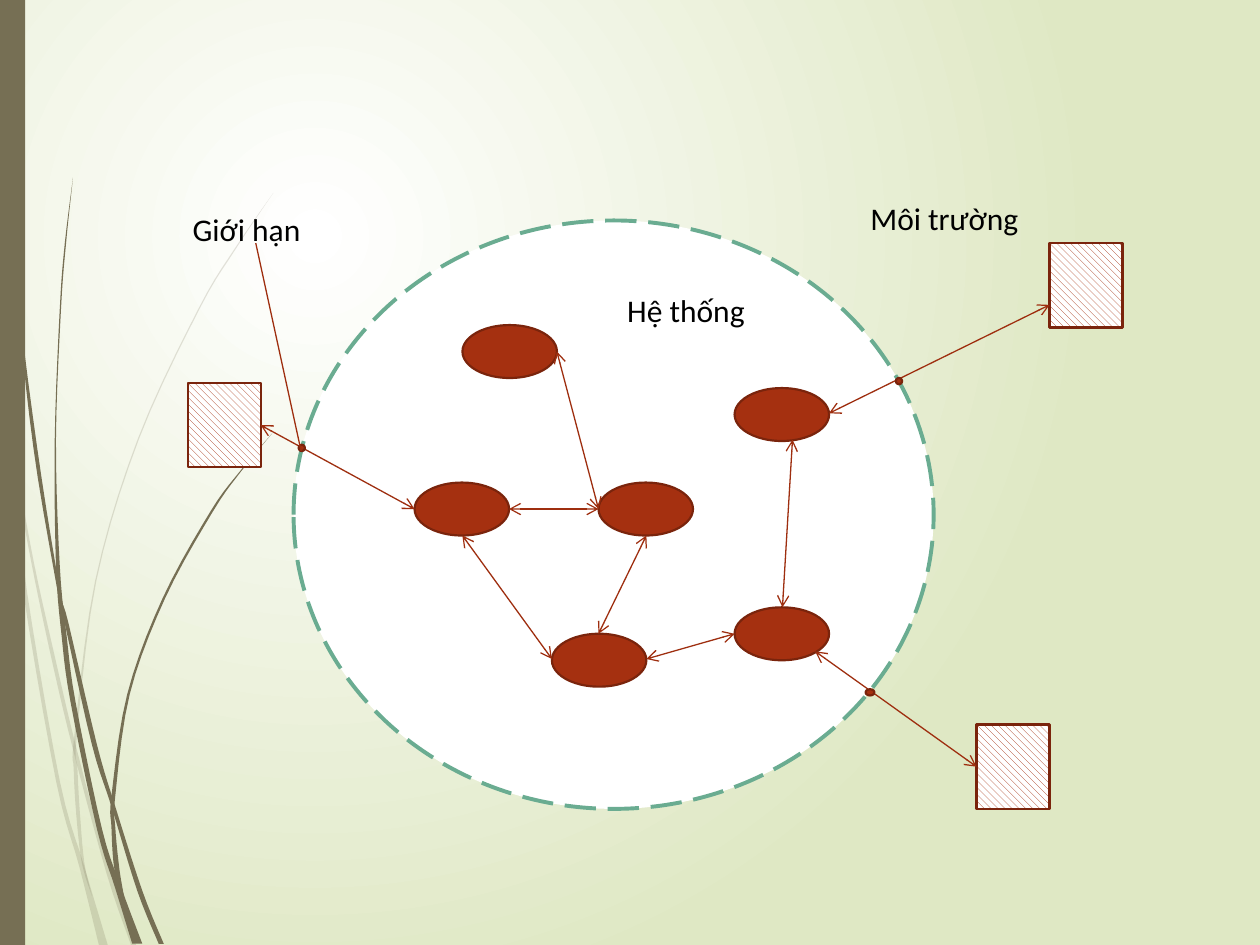
"""Build a slide showing a system, its boundary and its environment."""
import lxml.etree
import pptx
import pptx.dml.color
import pptx.enum.dml
import pptx.enum.shapes
import pptx.enum.text
import pptx.oxml
import pptx.oxml.ns
import pptx.util

Inches = pptx.util.Inches
Pt = pptx.util.Pt
RGB = pptx.dml.color.RGBColor.from_string
KIND = pptx.enum.shapes.MSO_SHAPE
qn = pptx.oxml.ns.qn

COLORS = {
    "white": "FFFFFF", "pale": "DFE8C4", "grass": "766F54", "dash": "6AAC91",
    "rust": "A53010", "edge": "7A240C", "link": "9E2E0F", "text": "000000",
}

deck = pptx.Presentation()
deck.slide_width, deck.slide_height = Inches(10), Inches(7.5)
slide = deck.slides.add_slide(deck.slide_layouts[6])
shapes = slide.shapes


def add_shape(kind, box, fill, line=None, width=1.25):
    shape = shapes.add_shape(kind, *[Inches(v) for v in box])
    shape.shadow.inherit = False
    shape.fill.solid()
    shape.fill.fore_color.rgb = RGB(COLORS[fill])
    if line:
        shape.line.color.rgb = RGB(COLORS[line])
        shape.line.width = Pt(width)
    else:
        shape.line.fill.background()
    return shape


def add_link(start, end, heads=True):
    link = shapes.add_connector(
        pptx.enum.shapes.MSO_CONNECTOR.STRAIGHT, *[Inches(v) for v in start + end])
    link.line.color.rgb = RGB(COLORS["link"])
    link.line.width = Pt(0.75)
    if heads:
        for tag in ("a:headEnd", "a:tailEnd"):
            lxml.etree.SubElement(link.line._get_or_add_ln(), qn(tag), type="arrow")
    lxml.etree.SubElement(link._element.spPr, qn("a:effectLst"))
    return link


slide._element.cSld.insert(0, pptx.oxml.parse_xml(
    f'<p:bg {pptx.oxml.ns.nsdecls("p", "a")}><p:bgPr><a:gradFill rotWithShape="1"><a:gsLst>'
    f'<a:gs pos="0"><a:srgbClr val="{COLORS["white"]}"/></a:gs>'
    f'<a:gs pos="100000"><a:srgbClr val="{COLORS["pale"]}"/></a:gs></a:gsLst>'
    '<a:path path="circle"><a:fillToRect l="50000" t="50000" r="100000" b="100000"/></a:path>'
    '</a:gradFill><a:effectLst/></p:bgPr></p:bg>'))

blades = [
    (20, [(0, 2.82, 0), (0.07, 3.4, 0.01), (0.12, 3.7, 0.02), (0.26, 4.47, 0.02),
          (0.42, 5.21, 0.03), (0.59, 5.93, 0.03), (0.86, 6.93, 0.03), (1.06, 7.5, 0.04)]),
    (20, [(0.08, 3.5, 0), (0.12, 3.9, 0.03), (0.2, 4.7, 0.03), (0.46, 6.2, 0.03),
          (0.65, 6.88, 0.04), (0.82, 7.5, 0.07)]),
    (20, [(2.17, 1.53, 0), (1.87, 1.97, 0.01), (1.58, 2.45, 0.01), (1.1, 3.48, 0.01),
          (0.76, 4.61, 0.01), (0.6, 5.84, 0.02), (0.6, 6.1, 0.03), (0.62, 6.46, 0.03),
          (0.66, 6.85, 0.02), (0.73, 7.11, 0)]),
    (100, [(0.02, 0, 0.01), (0.06, 1.1, 0.01), (0.14, 2.33, 0.01), (0.28, 3.55, 0.03),
           (0.46, 4.65, 0.02), (0.53, 4.95, 0.03), (0.75, 5.91, 0.04), (0.9, 6.4, 0.03),
           (1.11, 7.07, 0.04), (1.28, 7.49, 0.04)]),
    (100, [(0.58, 1.41, 0), (0.52, 1.93, 0.01), (0.48, 2.45, 0.01), (0.44, 3.49, 0.01),
           (0.46, 4.49, 0.03), (0.51, 5.05, 0.04), (0.58, 5.57, 0.04), (0.79, 6.58, 0.04),
           (0.94, 7.05, 0.05), (1.09, 7.49, 0.08)]),
    (100, [(2.16, 3.44, 0), (1.91, 3.74, 0.01), (1.68, 4.06, 0.02), (1.3, 4.75, 0.02),
           (1.02, 5.51, 0.02), (0.9, 6.32, 0.03), (0.9, 6.56, 0.03), (0.93, 6.91, 0.04),
           (1, 7.19, 0)]),
]
for alpha, knots in blades:
    ends = [knots[0]] + knots + [knots[-1]]
    curve = []
    for a, b, c, d in zip(ends, ends[1:], ends[2:], ends[3:]):
        for t in (0, 0.2, 0.4, 0.6, 0.8):
            curve.append([
                q + t / 2 * (r - p + t * (2 * p - 5 * q + 4 * r - s + t * (3 * (q - r) + s - p)))
                for p, q, r, s in zip(a, b, c, d)])
    curve.append(knots[-1])
    rim = [(x - w / 2, y) for x, y, w in curve] + [(x + w / 2, y) for x, y, w in curve[::-1]]
    rim = [(Inches(x), Inches(y)) for x, y in rim]
    pen = shapes.build_freeform(*rim[0])
    pen.add_line_segments(rim[1:])
    blade = pen.convert_to_shape()
    blade.shadow.inherit = False
    blade.fill.solid()
    blade.fill.fore_color.rgb = RGB(COLORS["grass"])
    blade.line.fill.background()
    if alpha < 100:
        color = blade._element.spPr.find(qn("a:solidFill")).find(qn("a:srgbClr"))
        lxml.etree.SubElement(color, qn("a:alpha"), val=str(alpha * 1000))

add_shape(KIND.RECTANGLE, (0, 0, 0.2, 7.5), "grass")
system = add_shape(KIND.OVAL, (2.33, 1.75, 5.08, 4.67), "white", "dash", 2.25)
system.line.dash_style = pptx.enum.dml.MSO_LINE.LONG_DASH

for x, y in [(3.67, 2.58), (5.83, 3.08), (3.29, 3.83), (4.75, 3.83), (4.38, 5.03), (5.83, 4.82)]:
    add_shape(KIND.OVAL, (x, y, 0.75, 0.42), "rust", "edge")

for start, end in [
    ((4.42, 2.79), (4.75, 4.04)), ((5.13, 4.25), (4.75, 5.03)),
    ((4.75, 4.04), (4.04, 4.04)), ((4.38, 5.23), (3.67, 4.25)),
    ((6.29, 3.49), (6.21, 4.82)), ((5.83, 5.03), (5.13, 5.23)),
]:
    add_link(start, end)

outer = []
for x, y in [(8.33, 1.93), (1.49, 3.04), (7.75, 5.75)]:
    block = add_shape(KIND.RECTANGLE, (x, y, 0.58, 0.67), "white", "edge")
    block.fill.patterned()
    block.fill.pattern = pptx.enum.dml.MSO_PATTERN.WIDE_DOWNWARD_DIAGONAL
    block.fill.fore_color.rgb = RGB(COLORS["rust"])
    block.fill.back_color.rgb = RGB(COLORS["white"])
    outer.append(block)

add_link((6.58, 3.28), (8.33, 2.42))
add_link((6.47, 5.17), (7.75, 6.08)).end_connect(outer[2], 1)
add_link((2.07, 3.37), (3.29, 4.04)).begin_connect(outer[1], 3)

for x, y, w in [(7.11, 3, 0.05), (2.37, 3.53, 0.05), (6.87, 5.47, 0.07)]:
    add_shape(KIND.FLOWCHART_CONNECTOR, (x, y, w, 0.05), "rust", "edge")

add_link((2.39, 3.58), (2.03, 1.93), heads=False)

for text, x, y, w in [
    ("Hệ thống", 4.88, 2.26, 1.33), ("Môi trường", 6.81, 1.53, 1.57), ("Giới hạn", 1.43, 1.62, 1.62),
]:
    frame = shapes.add_textbox(Inches(x), Inches(y), Inches(w), Inches(0.4)).text_frame
    frame.word_wrap = True
    frame.auto_size = pptx.enum.text.MSO_AUTO_SIZE.SHAPE_TO_FIT_TEXT
    frame.text = text
    font = frame.paragraphs[0].font
    font.name, font.size = "Calibri", Pt(18)
    font.color.rgb = RGB(COLORS["text"])

deck.save("out.pptx")
